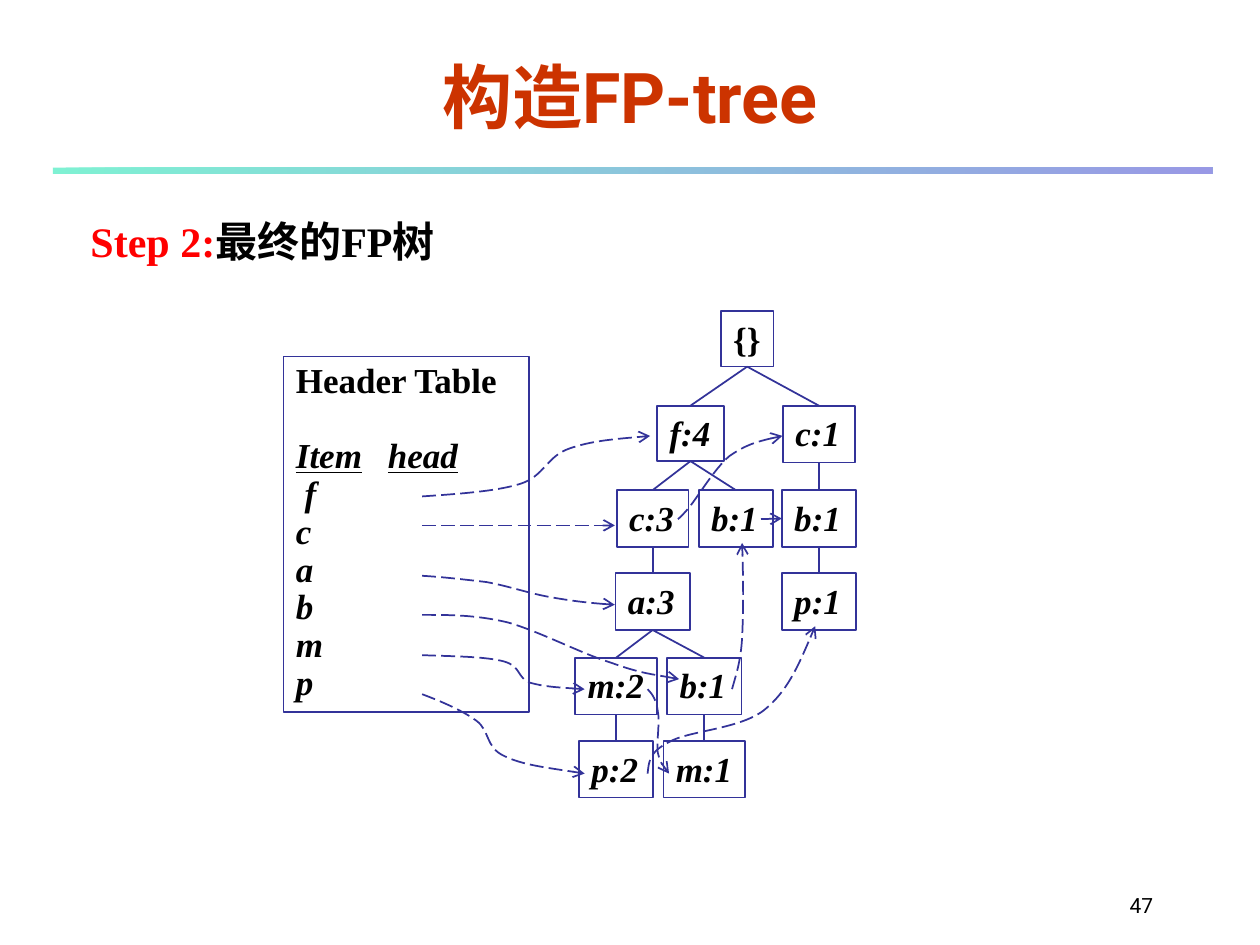
import pptx
import pptx.util
import pptx.dml.color
import pptx.enum.dml
import pptx.enum.shapes
import pptx.enum.text
import pptx.oxml
import pptx.oxml.ns
import lxml.etree

Inches = pptx.util.Inches
Pt = pptx.util.Pt
RGB = pptx.dml.color.RGBColor.from_string
Anchor = pptx.enum.text.MSO_ANCHOR
Align = pptx.enum.text.PP_ALIGN
Fit = pptx.enum.text.MSO_AUTO_SIZE
Kind = pptx.enum.shapes.MSO_SHAPE
Straight = pptx.enum.shapes.MSO_CONNECTOR.STRAIGHT
qn = pptx.oxml.ns.qn

theme = {
    "ink": RGB("333399"), "text": RGB("000000"), "step": RGB("FF0000"),
    "title": RGB("CC3300"), "mint": RGB("00E4A8"), "blue": RGB("3333CC"),
    "serif": "Times New Roman", "sans": "Roboto",
    "head": Pt(40), "lead": Pt(24), "body": Pt(20), "small": Pt(12),
}


def draw(item, arrow=False):
    item.line.color.rgb = theme["ink"]
    item.line.width = Pt(1)
    if arrow:
        item.line.dash_style = pptx.enum.dml.MSO_LINE.LONG_DASH
        ln = item.line._get_or_add_ln()
        lxml.etree.SubElement(ln, qn("a:tailEnd"), type="arrow")
    if hasattr(item, "shadow"):
        item.shadow.inherit = False
    else:
        lxml.etree.SubElement(item._element.spPr, qn("a:effectLst"))


def style(para, size, face, color=None, bold=True, italic=None):
    font = para.font
    font.size, font.name = theme[size], theme[face]
    font.bold, font.italic = bold, italic
    if color:
        font.color.rgb = theme[color]


deck = pptx.Presentation()
deck.slide_width, deck.slide_height = Inches(10), Inches(7.5)
slide = deck.slides.add_slide(deck.slide_layouts[6])
shapes = slide.shapes

rule = shapes.add_shape(Kind.RECTANGLE, Inches(0.42), Inches(1.33), Inches(9.2), Inches(0.05))
rule.shadow.inherit = False
rule.line.fill.background()
rule.fill.gradient()
rule.fill.gradient_angle = 0
for stop, name, place in zip(rule.fill.gradient_stops, ("mint", "blue"), (0, 1)):
    stop.color.rgb = theme[name]
    stop.position = place
for color in rule._element.spPr.iter(qn("a:srgbClr")):
    lxml.etree.SubElement(color, qn("a:alpha"), val="50000")

labels = [
    ("47", 7.17, 6.83, 2.08, 0.5, Anchor.BOTTOM, Align.RIGHT, "small", "text", False),
    ("构造FP-tree", 0, 0.17, 10, 1.17, Anchor.MIDDLE, Align.CENTER, "head", "title", True),
]
for text, x, y, w, h, anchor, align, size, color, bold in labels:
    label = shapes.add_textbox(Inches(x), Inches(y), Inches(w), Inches(h))
    frame = label.text_frame
    frame.word_wrap = True
    frame.vertical_anchor = anchor
    para = frame.paragraphs[0]
    para.text = text
    para.alignment = align
    style(para, size, "sans", color, bold)

step = shapes.add_textbox(Inches(0.62), Inches(1.66), Inches(2.97), Inches(0.51))
step.text_frame.word_wrap = True
para = step.text_frame.paragraphs[0]
style(para, "lead", "serif")
for text, color in (("Step 2:", "step"), ("最终的FP树", "text")):
    run = para.add_run()
    run.text = text
    run.font.color.rgb = theme[color]

rows = [2.47, 3.22, 3.89, 4.55, 5.22, 5.88]
widths = {"{": 0.42, "f": 0.53, "c": 0.57, "m": 0.65}
tree = [
    ("root", "{}", 5.93, 0, None), ("f4", "f:4", 5.48, 1, "root"),
    ("c1", "c:1", 6.5, 1, "root"), ("b1", "b:1", 6.5, 2, "c1"),
    ("p1", "p:1", 6.5, 3, "b1"), ("c3", "c:3", 5.18, 2, "f4"),
    ("b2", "b:1", 5.84, 2, "f4"), ("a3", "a:3", 5.18, 3, "c3"),
    ("m2", "m:2", 4.89, 4, "a3"), ("b3", "b:1", 5.59, 4, "a3"),
    ("p2", "p:2", 4.89, 5, "m2"), ("m1", "m:1", 5.59, 5, "b3"),
]
nodes = {}
for name, text, mid, row, parent in tree:
    wide = widths.get(text[0], 0.59)
    high = 0.44 if name in ("root", "f4") else 0.45
    node = shapes.add_shape(Kind.RECTANGLE, Inches(mid - wide / 2), Inches(rows[row]),
                            Inches(wide), Inches(high))
    node.fill.background()
    draw(node)
    frame = node.text_frame
    frame.word_wrap = False
    frame.auto_size = Fit.SHAPE_TO_FIT_TEXT
    frame.vertical_anchor = Anchor.TOP
    para = frame.paragraphs[0]
    para.text = text
    para.alignment = Align.LEFT
    style(para, "body", "serif", "text", italic=name != "root")
    nodes[name] = node
    if parent:
        edge = shapes.add_connector(Straight, 0, 0, 0, 0)
        edge.begin_connect(nodes[parent], 2)
        edge.end_connect(node, 0)
        draw(edge)

table = shapes.add_shape(Kind.RECTANGLE, Inches(2.25), Inches(2.83), Inches(1.95), Inches(2.82))
table.fill.background()
draw(table)
frame = table.text_frame
frame.word_wrap = True
frame.vertical_anchor = Anchor.TOP
for i, text in enumerate(["Header Table", "Item\thead", *"fcabmp"]):
    para = frame.paragraphs[0] if i == 0 else frame.add_paragraph()
    para.text = text
    para.alignment = Align.LEFT
    para.line_spacing = 0.9
    if i == 1:
        para.space_before = Pt(21.6)
        tabs = lxml.etree.SubElement(para._p.get_or_add_pPr(), qn("a:tabLst"))
        lxml.etree.SubElement(tabs, qn("a:tab"), pos=str(Inches(0.73)), algn="l")
        para.font.underline = True
    if text == "f":
        para._p.get_or_add_pPr().set("marL", str(Inches(0.07)))
    style(para, "body", "serif", "text", italic=i > 0)

curves = [
    [(3.35, 3.94), (3.64, 3.92), (3.94, 3.9), (4.13, 3.84), (4.32, 3.78),
     (4.34, 3.62), (4.52, 3.56), (4.69, 3.5), (4.93, 3.48), (5.16, 3.46)],
    [(5.38, 4.12), (5.38, 4.12), (5.39, 4.12), (5.46, 4.04), (5.53, 3.96),
     (5.67, 3.72), (5.79, 3.62), (5.92, 3.53), (6.06, 3.49), (6.21, 3.46)],
    [(3.35, 4.57), (3.52, 4.58), (3.69, 4.6), (3.86, 4.62), (4.03, 4.65),
     (4.2, 4.71), (4.37, 4.74), (4.54, 4.77), (4.71, 4.79), (4.88, 4.8)],
    [(3.35, 4.88), (3.57, 4.88), (3.78, 4.88), (4.03, 4.94), (4.28, 5.01),
     (4.62, 5.19), (4.85, 5.26), (5.07, 5.34), (5.23, 5.36), (5.39, 5.39)],
    [(5.81, 5.47), (5.84, 5.36), (5.88, 5.25), (5.89, 5.06), (5.9, 4.86),
     (5.9, 4.59), (5.89, 4.31)],
    [(3.35, 5.2), (3.6, 5.21), (3.85, 5.21), (4, 5.25), (4.14, 5.29),
     (4.1, 5.38), (4.21, 5.42), (4.32, 5.45), (4.48, 5.46), (4.64, 5.47)],
    [(5.14, 5.47), (5.18, 5.51), (5.21, 5.56), (5.22, 5.64), (5.24, 5.72),
     (5.21, 5.89), (5.22, 5.97), (5.24, 6.05), (5.27, 6.1), (5.31, 6.14)],
    [(3.35, 5.51), (3.51, 5.57), (3.67, 5.64), (3.78, 5.72), (3.89, 5.8),
     (3.85, 5.93), (4, 6), (4.14, 6.07), (4.39, 6.1), (4.64, 6.14)],
    [(5.14, 6.14), (5.15, 6.05), (5.15, 5.97), (5.31, 5.89), (5.46, 5.8),
     (5.86, 5.79), (6.06, 5.64), (6.25, 5.49), (6.36, 5.23), (6.47, 4.97)],
]
for curve in curves:
    spots = [(Inches(x), Inches(y)) for x, y in curve]
    form = shapes.build_freeform(*spots[0])
    form.add_line_segments(spots[1:], close=False)
    link = form.convert_to_shape()
    link.fill.background()
    draw(link, arrow=True)
    legs = list(link._element.iter(qn("a:lnTo")))
    for i in range(0, len(legs), 3):
        bend = lxml.etree.SubElement(legs[i].getparent(), qn("a:cubicBezTo"))
        for leg in legs[i:i + 3]:
            bend.append(leg[0])
            leg.getparent().remove(leg)

for x, y, goal in ((3.35, 4.17, None), (6.04, 4.12, "b1")):
    link = shapes.add_connector(Straight, Inches(x), Inches(y), Inches(4.88), Inches(y))
    if goal:
        link.end_connect(nodes[goal], 1)
    draw(link, arrow=True)

deck.save("out.pptx")
